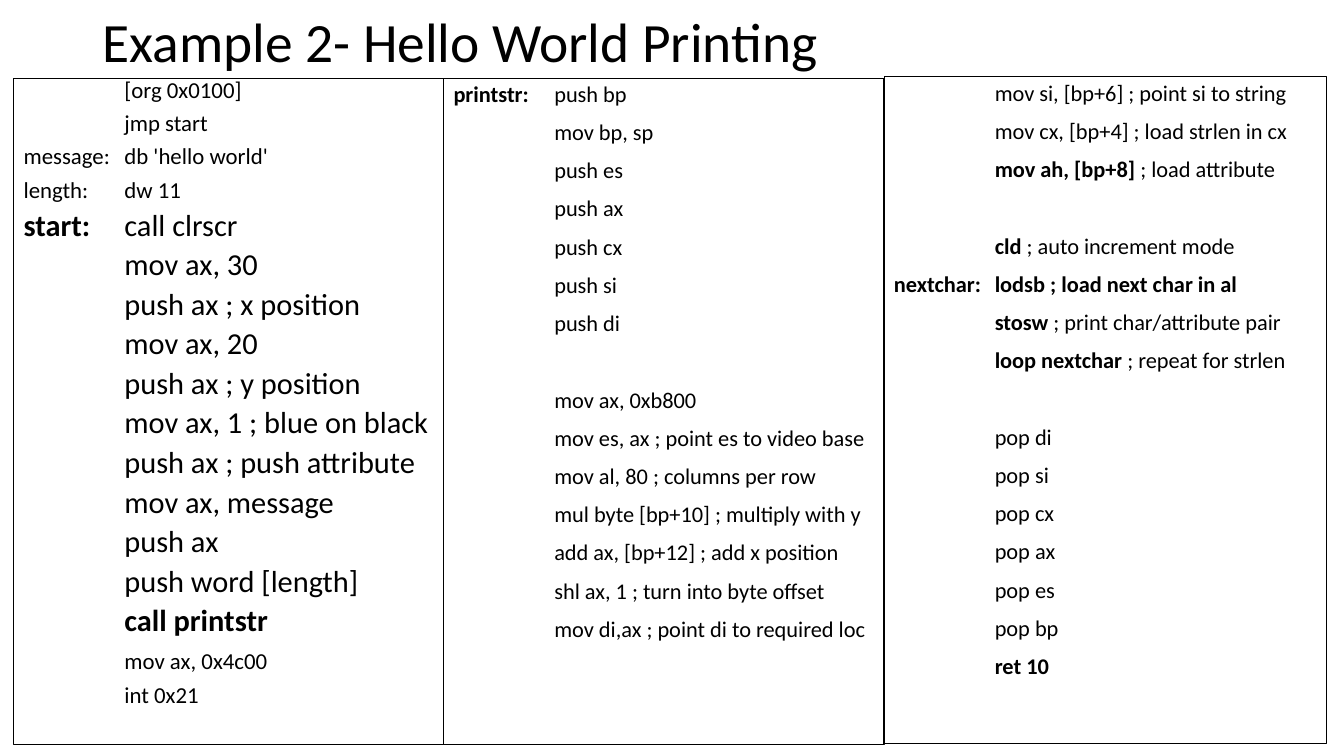
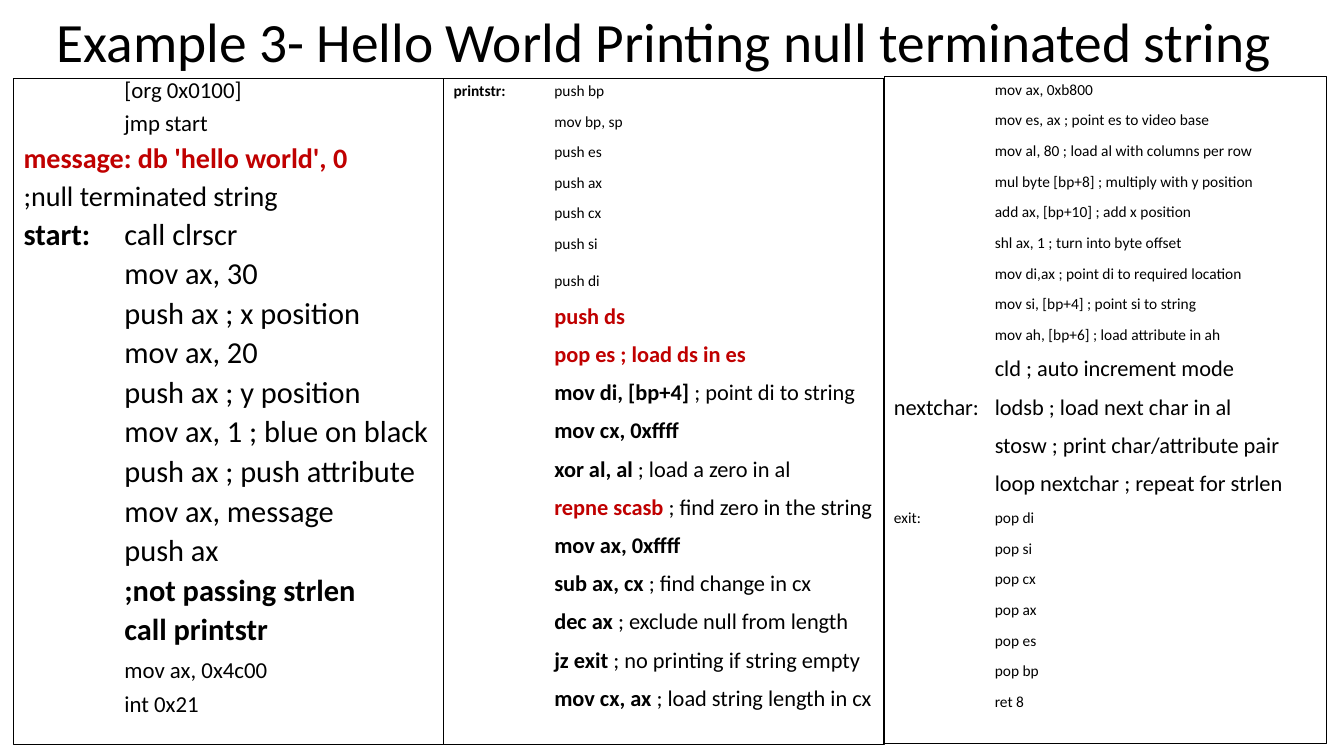
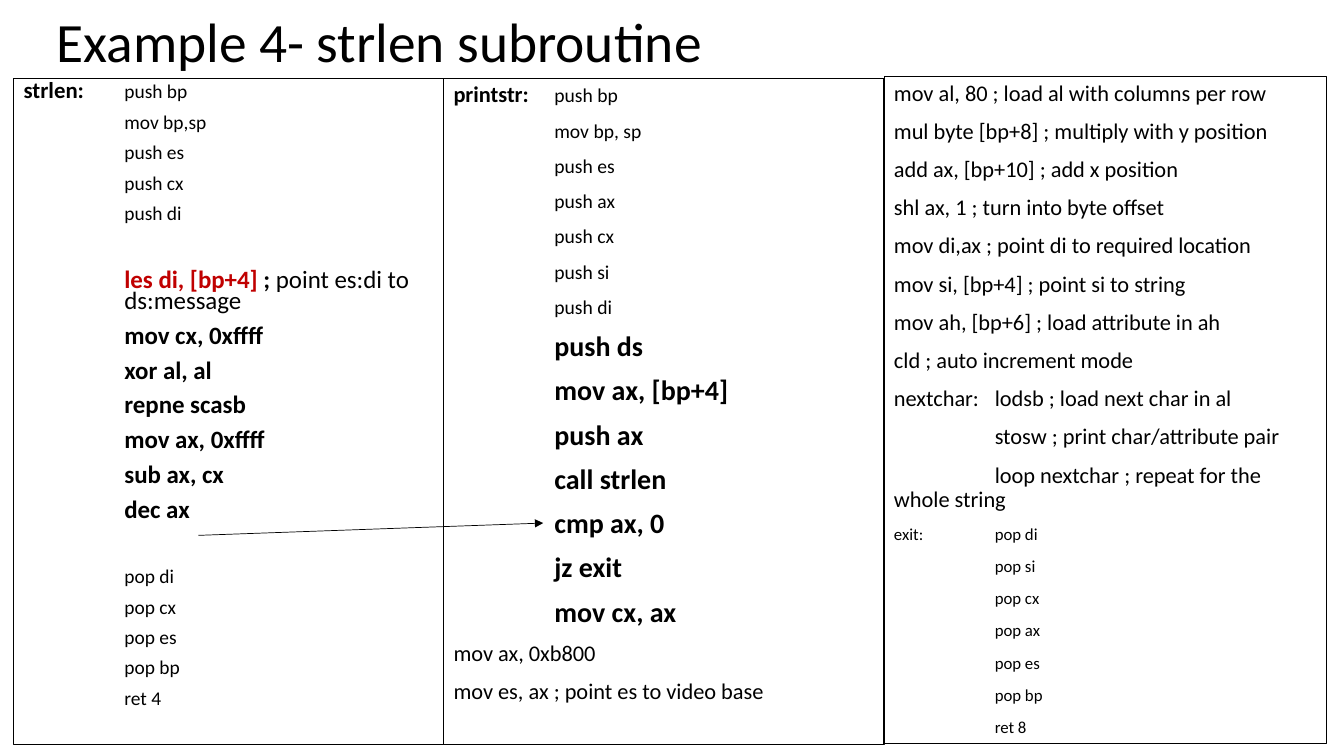
import pptx
import pptx.dml.color
import pptx.enum.dml
import pptx.enum.shapes
import pptx.enum.text
import pptx.oxml
import pptx.oxml.ns
import pptx.util
from lxml import etree

Cm = pptx.util.Cm
Pt = pptx.util.Pt
BLACK = pptx.dml.color.RGBColor(0x00, 0x00, 0x00)
RED = pptx.dml.color.RGBColor(0xC0, 0x00, 0x00)
FONT = "Calibri"
TAB = Cm(2.54)

# Columns: left, top, width, height in cm; line spacing; extra gap in points
COLS = (
    ((0.34, 1.97, 10.84, 16.79), 0.7, 24),
    ((11.18, 1.97, 11.1, 16.79), 0.9, 27.5),
    ((22.28, 1.94, 11.15, 16.79), 0.9, 27.5),
)

# Code is a list of blocks: size, lines, and the size of the lead (up to the
# tab) of the first line. In a line, | is a tab, *bold*, *~bold red*;
# a first ^ adds a gap above, a first > indents the whole line.
CALLS = """*start:*|call clrscr
|mov ax, 30
|push ax ; x position
|mov ax, 20
|push ax ; y position
|mov ax, 1 ; blue on black
|push ax ; push attribute
|mov ax, message
|push ax
"""
QUIT = (16.3, """|mov ax, 0x4c00
|int 0x21""", 20.1)
SAVES = """*printstr:*|push bp
|mov bp, sp
|push es
|push ax
|push cx
|push si"""
POPS = """|pop si
|pop cx
|pop ax
|pop es
|pop bp
"""
EXIT = "exit:|pop di\n" + POPS + "|ret 8"

HELLO = (
    [(16.3, """|[org 0x0100]
|jmp start
message:|db 'hello world'
length:|dw 11"""),
     (21.7, CALLS + """|push word [length]
|*call printstr*"""),
     QUIT],
    [(16, SAVES + """
|push di
^|mov ax, 0xb800
|mov es, ax ; point es to video base
|mov al, 80 ; columns per row
|mul byte [bp+10] ; multiply with y
|add ax, [bp+12] ; add x position
|shl ax, 1 ; turn into byte offset
|mov di,ax ; point di to required loc""")],
    [(16, """|mov si, [bp+6] ; point si to string
|mov cx, [bp+4] ; load strlen in cx
|*mov ah, [bp+8]* ; load attribute
^|*cld* ; auto increment mode
*nextchar:*|*lodsb ; load next char in al*
|*stosw* ; print char/attribute pair
|*loop nextchar* ; repeat for strlen
^|pop di
""" + POPS + "|*ret 10*")],
)

NULL = (
    [(16.3, """|[org 0x0100]
|jmp start"""),
     (20.1, """*~message: db 'hello world', 0*
;null terminated string"""),
     (21.7, CALLS + """|*;not passing strlen*
|*call printstr*"""),
     QUIT],
    [(11, SAVES),
     (11, "|push di", 16),
     (16, """|*~push ds*
|*~pop es ; load ds in es*
|*mov di, [bp+4]* ; point di to string
|*mov cx, 0xffff*
|*xor al, al* ; load a zero in al
|*~repne scasb* ; find zero in the string
|*mov ax, 0xffff*
|*sub ax, cx* ; find change in cx
|*dec ax* ; exclude null from length
|*jz exit* ; no printing if string empty
|*mov cx, ax* ; load string length in cx""")],
    [(11, """|mov ax, 0xb800
|mov es, ax ; point es to video base
|mov al, 80 ; load al with columns per row
|mul byte [bp+8] ; multiply with y position
|add ax, [bp+10] ; add x position
|shl ax, 1 ; turn into byte offset
|mov di,ax ; point di to required location
|mov si, [bp+4] ; point si to string
|mov ah, [bp+6] ; load attribute in ah"""),
     (16, """|cld ; auto increment mode
nextchar:|lodsb ; load next char in al
|stosw ; print char/attribute pair
|loop nextchar ; repeat for strlen"""),
     (11, EXIT)],
)

STRLEN = (
    [(13.9, """*strlen:*|push bp
|mov bp,sp
|push es
|push cx
|push di""", 16.3),
     (17.8, """^>*~les di, [bp+4] **;* point es:di to ds:message
|*mov cx, 0xffff*
|*xor al, al*
|*repne scasb*
|*mov ax, 0xffff*
|*sub ax, cx*
|*dec ax*"""),
     (13.9, """^|pop di
|pop cx
|pop es
|pop bp
|ret 4""")],
    [(14, SAVES + "\n|push di", 16),
     (20, """|*push ds*
|*mov ax, [bp+4]*
|*push ax*
|*call strlen*
|*cmp ax, 0*
|*jz exit*
|*mov cx, ax*"""),
     (16, """mov ax, 0xb800
mov es, ax ; point es to video base""")],
    [(16, """mov al, 80 ; load al with columns per row
mul byte [bp+8] ; multiply with y position
add ax, [bp+10] ; add x position
shl ax, 1 ; turn into byte offset
mov di,ax ; point di to required location
mov si, [bp+4] ; point si to string
mov ah, [bp+6] ; load attribute in ah
cld ; auto increment mode
nextchar:|lodsb ; load next char in al
|stosw ; print char/attribute pair
|loop nextchar ; repeat for the whole string"""),
     (12, EXIT)],
)


def add_tag(node, tag, **attrs):
    return etree.SubElement(node, pptx.oxml.ns.qn(tag), attrs)


def place(shape, box):
    shape.left, shape.top, shape.width, shape.height = map(Cm, box)


def set_font(para, size):
    font = para.font
    font.name, font.size = FONT, Pt(size)
    font.color.rgb = BLACK


def add_runs(para, text, size=None):
    """Turn marked text into runs; every second part is bold."""
    for i, part in enumerate(text.split("*")):
        if not part:
            continue
        run = para.add_run()
        run.text = part.lstrip("~")
        if i % 2:
            run.font.bold = True
        if part.startswith("~"):
            run.font.color.rgb = RED
        if size:
            run.font.size = Pt(size)


def add_line(para, line, size, lead, space, gap):
    para.line_spacing = space
    para.space_before = Pt(10 + gap * line.startswith("^"))
    para.space_after = Pt(0)
    line = line.lstrip("^")
    props = para._p.get_or_add_pPr()
    props.set("marL", str(TAB if line.startswith(">") else 0))
    props.set("indent", "0")
    props.set("defTabSz", str(TAB))
    add_tag(props, "a:buNone")
    set_font(para, size)
    head, bar, rest = line.lstrip(">").partition("|")
    add_runs(para, head + ("\t" if bar else ""), lead)
    add_runs(para, rest)


def add_code(shape, box, blocks, space, gap):
    """Fill a framed column with blocks of code."""
    place(shape, box)
    shape.line.color.rgb = BLACK
    shape.line.width = Pt(0.75)
    frame = shape.text_frame
    frame.word_wrap = True
    frame.auto_size = pptx.enum.text.MSO_AUTO_SIZE.NONE
    frame.vertical_anchor = pptx.enum.text.MSO_ANCHOR.TOP
    para = frame.paragraphs[0]
    for size, text, *lead in blocks:
        for i, line in enumerate(text.split("\n")):
            para = para or frame.add_paragraph()
            add_line(para, line, size, lead[0] if lead and i == 0 else None,
                     space, gap)
            para = None


def add_title(shape, text, box):
    place(shape, box)
    frame = shape.text_frame
    frame.text = text
    frame.word_wrap = True
    frame.auto_size = pptx.enum.text.MSO_AUTO_SIZE.NONE
    frame.vertical_anchor = pptx.enum.text.MSO_ANCHOR.MIDDLE
    para = frame.paragraphs[0]
    para.alignment = pptx.enum.text.PP_ALIGN.LEFT
    para.line_spacing = 0.9
    set_font(para, 39.6)


def add_arrow(slide, *ends):
    line = slide.shapes.add_connector(
        pptx.enum.shapes.MSO_CONNECTOR.STRAIGHT, *map(Cm, ends))
    line.line.color.rgb = BLACK
    line.line.width = Pt(0.5)
    add_tag(line.line._get_or_add_ln(), "a:tailEnd", type="triangle")
    add_tag(line._element.spPr, "a:effectLst")


def add_slide(deck, title, box, codes):
    slide = deck.slides.add_slide(deck.slide_layouts[1])
    add_title(slide.shapes.title, title, box)
    for i, (code, (area, space, gap)) in enumerate(zip(codes, COLS)):
        if i == 0:
            shape = slide.placeholders[1]
        else:
            shape = slide.shapes.add_textbox(*map(Cm, area))
        add_code(shape, area, code, space, gap)
    return slide


def main():
    deck = pptx.Presentation()
    deck.slide_width, deck.slide_height = Cm(33.87), Cm(19.05)
    wide = (1.17, 0.33, 31.5, 1.6)
    add_slide(deck, "Example 2- Hello World Printing",
              (2.34, 0.33, 29.21, 1.6), HELLO)
    add_slide(deck, "Example 3- Hello World Printing null terminated string",
              wide, NULL)
    last = add_slide(deck, "Example 4- strlen subroutine", wide, STRLEN)
    add_arrow(last, 5, 13.49, 13.69, 13.18)
    deck.save("out.pptx")


if __name__ == "__main__":
    main()
